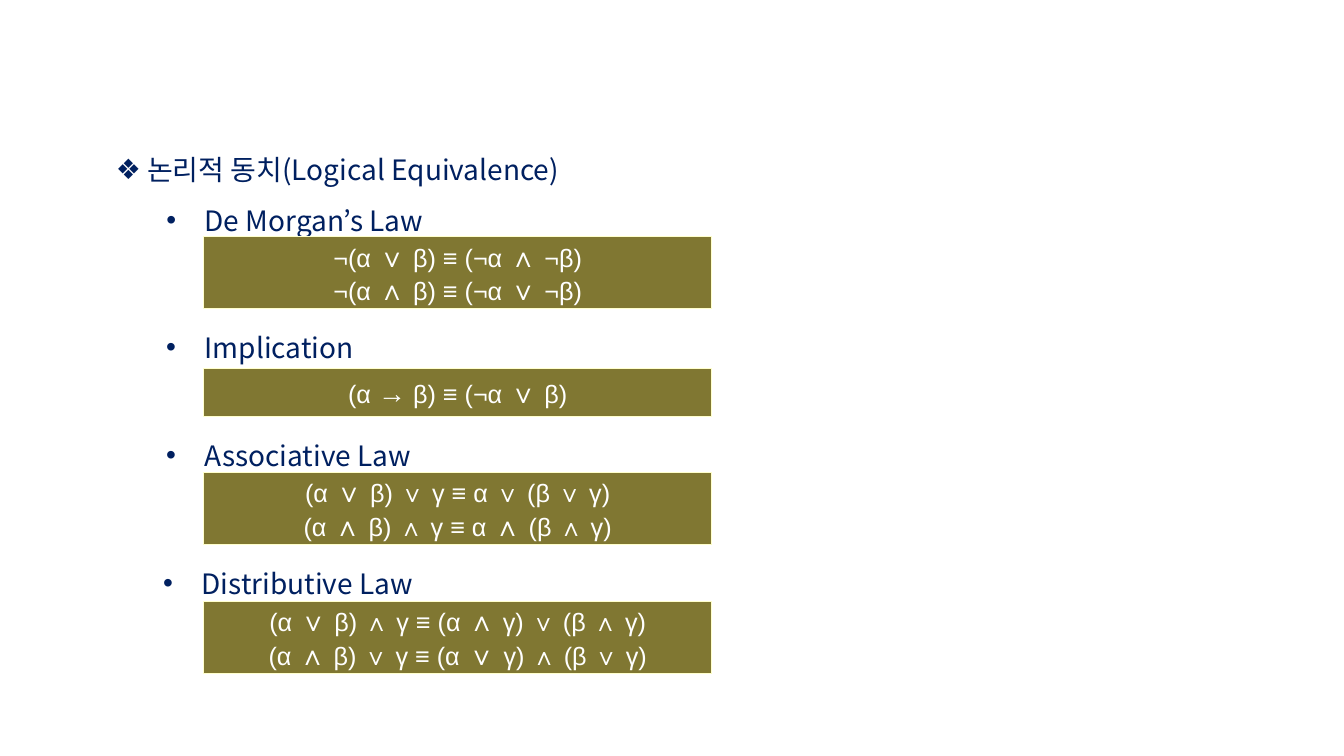
"""Build a slide of four laws of logical equivalence."""
from dataclasses import dataclass

from lxml import etree
from pptx import Presentation, util as u
from pptx.dml.color import RGBColor
from pptx.enum import shapes, text
from pptx.oxml.ns import qn


@dataclass(frozen=True)
class Theme:
    """Colours, fonts and type sizes."""
    ink: str = "002060"
    panel: str = "807732"
    edge: str = "FFFFCC"
    light: str = "FFFFFF"
    list_font: str = "Noto Sans CJK KR"
    formula_font: str = "Arial"
    large: int = 20
    normal: int = 18


THEME = Theme()
COLUMNS, ROWS = 133.3, 75
CELL = u.Inches(0.1)
LIST_LEFT, LIST_WIDTH, LIST_HEIGHT = 10.5, 107.2, 5.4
PANEL_LEFT, PANEL_WIDTH = 20.2, 50.4
LAWS = [
    ("De Morgan’s Law", LIST_LEFT, 23.5, 7.1,
     ["¬(α *∨* β) ≡ (¬α *∧* ¬β)", "¬(α *∧* β) ≡ (¬α *∨* ¬β)"]),
    ("Implication", LIST_LEFT, 36.6, 4.7,
     ["(α *→* β) ≡ (¬α *∨* β)"]),
    ("Associative Law", LIST_LEFT, 46.9, 7.1,
     ["(α *∨* β) ∨ γ ≡ α ∨ (β ∨ γ)", "(α *∧* β) ∧ γ ≡ α *∧* (β ∧ γ)"]),
    ("Distributive Law", 10.2, 59.7, 7.1,
     ["(α *∨* β) ∧ γ ≡ (α *∧* γ) ∨ (β ∧ γ)",
      "(α *∧* β) ∨ γ ≡ (α* ∨ *γ) ∧ (β ∨ γ)"]),
]


def cells(*counts):
    """Turn counts of grid cells into slide lengths."""
    return [u.Emu(round(count * CELL)) for count in counts]


def add_span(para, wording, *, font, size, color):
    """Add one formatted run of text."""
    span = para.add_run()
    span.text = wording
    span.font.name = font
    span.font.size = u.Pt(size)
    span.font.color.rgb = RGBColor.from_string(color)
    east = etree.SubElement(span.font._element, qn("a:ea"))
    east.set("typeface", font)


def next_para(frame):
    """Return the empty first paragraph or a new one."""
    first = frame.paragraphs[0]
    return frame.add_paragraph() if first.runs else first


def add_item(frame, wording, *, bullet, level, indent, hang):
    """Add a bulleted list item."""
    para = next_para(frame)
    para.level = level
    para.alignment = text.PP_ALIGN.JUSTIFY
    para.line_spacing = 1.5
    para.space_before = para.space_after = u.Pt(0)
    add_span(para, wording, font=THEME.list_font, size=THEME.large, color=THEME.ink)
    settings = para._p.get_or_add_pPr()
    settings.set("marL", str(u.Inches(indent)))
    settings.set("indent", str(u.Inches(-hang)))
    etree.SubElement(settings, qn("a:buFont")).set("typeface", "Arial")
    etree.SubElement(settings, qn("a:buChar")).set("char", bullet)


def add_law_name(frame, name):
    """Add a law's name as a second-level item."""
    add_item(frame, name, bullet="•", level=1, indent=0.88, hang=0.38)


def add_list_box(page, left, top):
    """Add a text box for one list item and return its frame."""
    box = page.shapes.add_textbox(*cells(left, top, LIST_WIDTH, LIST_HEIGHT))
    box.text_frame.word_wrap = True
    return box.text_frame


def add_panel(page, formulas, top, height):
    """Add a panel of formulas, with starred parts set larger."""
    panel = page.shapes.add_shape(
        shapes.MSO_SHAPE.RECTANGLE, *cells(PANEL_LEFT, top, PANEL_WIDTH, height))
    panel.shadow.inherit = False
    panel.fill.solid()
    panel.fill.fore_color.rgb = RGBColor.from_string(THEME.panel)
    panel.line.color.rgb = RGBColor.from_string(THEME.edge)
    panel.line.width = u.Pt(0.75)
    frame = panel.text_frame
    frame.word_wrap = False
    frame.vertical_anchor = text.MSO_ANCHOR.MIDDLE
    for formula in formulas:
        para = next_para(frame)
        para.alignment = text.PP_ALIGN.CENTER
        for index, part in enumerate(formula.split("*")):
            add_span(para, part, font=THEME.formula_font, color=THEME.light,
                     size=THEME.large if index % 2 else THEME.normal)


def open_list(page):
    """Place the body placeholder, drop the empty title and return the frame."""
    title, body = page.placeholders
    title._element.getparent().remove(title._element)
    body.left, body.top, body.width, body.height = cells(
        LIST_LEFT, 13, LIST_WIDTH, 10.5)
    frame = body.text_frame
    frame.auto_size = text.MSO_AUTO_SIZE.NONE
    frame.word_wrap = True
    add_item(frame, "논리적 동치(Logical Equivalence)",
             bullet="❖", level=0, indent=0.31, hang=0.31)
    return frame


def main():
    """Build and save the deck."""
    deck = Presentation()
    deck.slide_width, deck.slide_height = cells(COLUMNS, ROWS)
    page = deck.slides.add_slide(deck.slide_layouts[1])
    frame, bottom = open_list(page), None
    for name, left, top, height, formulas in LAWS:
        if bottom is not None:
            frame = add_list_box(page, left, bottom)
        add_law_name(frame, name)
        add_panel(page, formulas, top, height)
        bottom = top + height
    deck.save("out.pptx")


if __name__ == "__main__":
    main()
